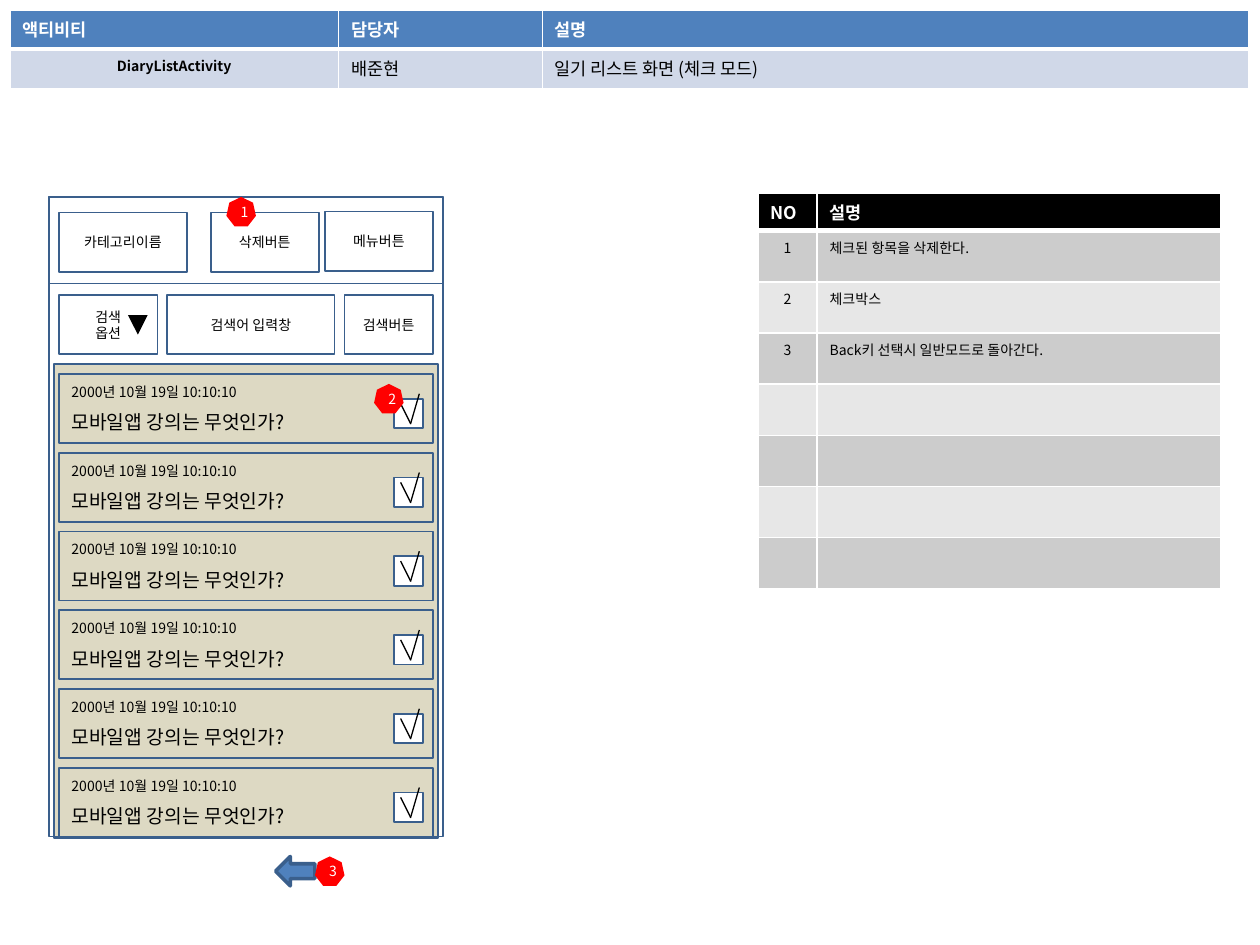
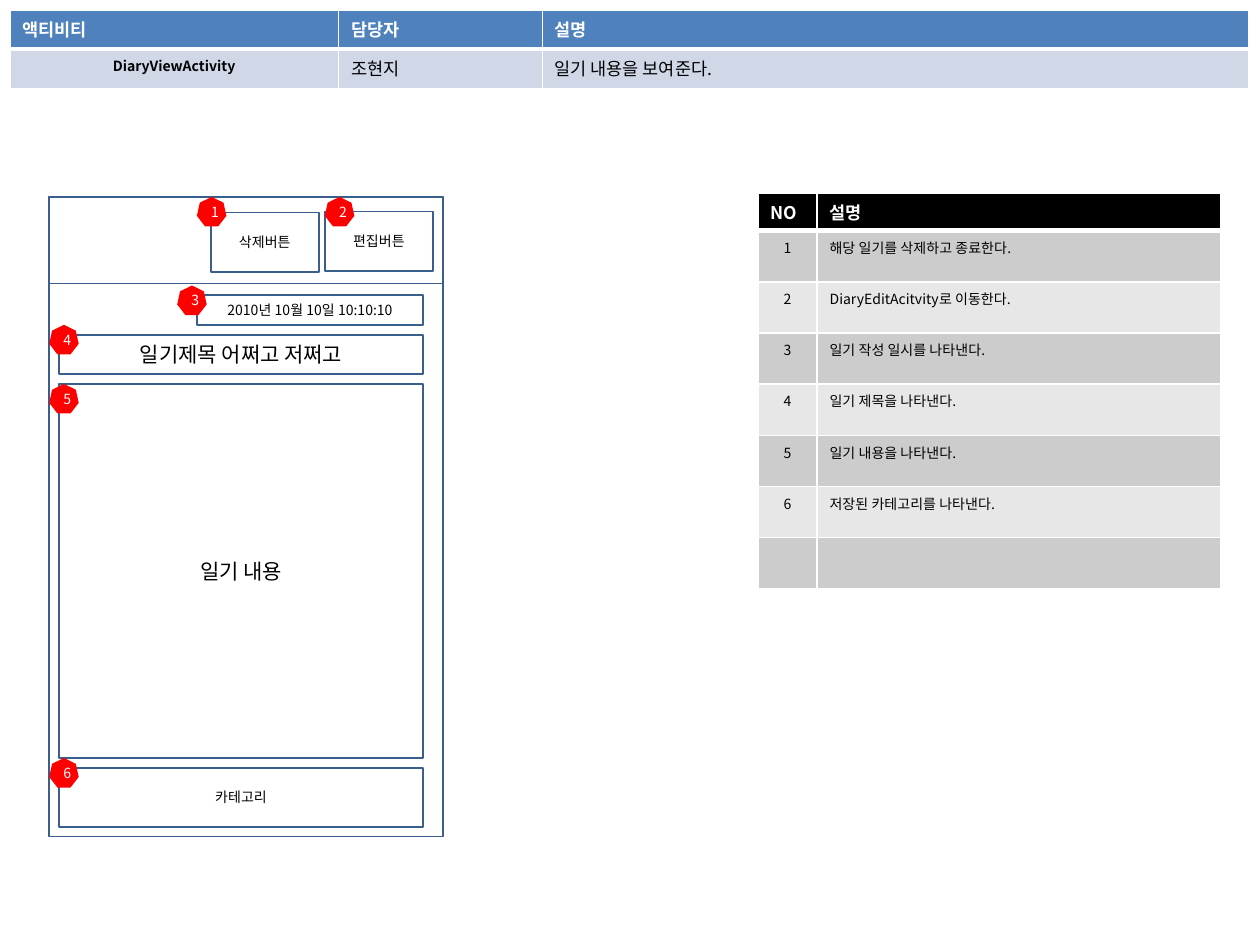
"""Builds two wireframe slides that describe the screens of a diary app."""
from typing import NamedTuple

from lxml import etree
from pptx import Presentation
from pptx import util as u
from pptx.dml.color import RGBColor
from pptx.enum import shapes, text
from pptx.oxml.ns import qn

PX_PER_INCH = 128
FONT = "Noto Sans CJK KR"
COLORS = {
    "white": "FFFFFF", "black": "000000", "outline": "3A5F8C", "blue": "4F81BD",
    "pale_blue": "D0D8E8", "sand": "DDD9C3", "red": "FF0000",
    "gray": "CCCCCC", "light_gray": "E7E7E7",
}
SHAPE = shapes.MSO_SHAPE
CENTER, LEFT = text.PP_ALIGN.CENTER, text.PP_ALIGN.LEFT


class Box(NamedTuple):
    x: int
    y: int
    w: int
    h: int
    label: str = ""
    size: int = 8


class Badge(NamedTuple):
    number: int
    x: int
    y: int


class Screen(NamedTuple):
    activity: str
    owner: str
    summary: str
    notes: list[str]
    boxes: list[Box]
    badges: list[Badge]


PHONE = [Box(50, 200, 400, 650), Box(50, 200, 400, 88)]
DELETE_BUTTON = Box(214, 216, 110, 60, "삭제버튼")
ITEM_LINES = [("2000년 10월 19일 10:10:10", 8), ("모바일앱 강의는 무엇인가?", 11)]
ITEM_COUNT, ITEM_PITCH = 6, 80
NOTE_ROWS = 7

LIST_SCREEN = Screen(
    "DiaryListActivity", "배준현", "일기 리스트 화면 (체크 모드)",
    ["체크된 항목을 삭제한다.", "체크박스", "Back키 선택시 일반모드로 돌아간다."],
    [
        Box(60, 216, 130, 60, "카테고리이름"),
        DELETE_BUTTON,
        Box(330, 215, 110, 60, "메뉴버튼"),
        Box(60, 300, 100, 60, "검색\n옵션"),
        Box(170, 300, 170, 60, "검색어 입력창"),
        Box(350, 300, 90, 60, "검색버튼"),
    ],
    [Badge(2, 380, 390), Badge(1, 230, 200), Badge(3, 320, 870)],
)
VIEW_SCREEN = Screen(
    "DiaryViewActivity", "조현지", "일기 내용을 보여준다.",
    ["해당 일기를 삭제하고 종료한다.", "DiaryEditAcitvity로 이동한다.",
     "일기 작성 일시를 나타낸다.", "일기 제목을 나타낸다.",
     "일기 내용을 나타낸다.", "저장된 카테고리를 나타낸다."],
    [
        DELETE_BUTTON,
        Box(330, 215, 110, 60, "편집버튼"),
        Box(200, 300, 230, 30, "2010년 10월 10일 10:10:10"),
        Box(60, 340, 370, 40, "일기제목 어쩌고 저쩌고", 12),
        Box(60, 390, 370, 380, "일기 내용", 12),
        Box(60, 780, 370, 60, "카테고리"),
    ],
    [Badge(1, 200, 200), Badge(2, 330, 200), Badge(3, 180, 290),
     Badge(4, 50, 330), Badge(5, 50, 390), Badge(6, 50, 770)],
)


def px(n: int) -> int:
    return u.Inches(n / PX_PER_INCH)


def rgb(color: str) -> RGBColor:
    return RGBColor.from_string(COLORS[color])


def style(p, size: int, color: str = "black", align=CENTER, bold: bool = False) -> None:
    p.alignment = align
    p.font.size = u.Pt(size)
    p.font.bold = bold
    p.font.color.rgb = rgb(color)
    p.font.name = FONT
    etree.SubElement(p._p.pPr.find(qn("a:defRPr")), qn("a:ea"), typeface=FONT)


def add_shape(parent, kind, box: Box, fill: str = "", line: str = "outline",
              width: int = 1, color: str = "black"):
    sp = parent.add_shape(kind, px(box.x), px(box.y), px(box.w), px(box.h))
    sp.shadow.inherit = False
    if fill:
        sp.fill.solid()
        sp.fill.fore_color.rgb = rgb(fill)
    else:
        sp.fill.background()
    if line:
        sp.line.color.rgb = rgb(line)
        sp.line.width = u.Pt(width)
    else:
        sp.line.fill.background()
    if box.label:
        tf = sp.text_frame
        tf.text = box.label
        tf.vertical_anchor = text.MSO_ANCHOR.MIDDLE
        for p in tf.paragraphs:
            style(p, box.size, color)
    return sp


def add_stroke(parent, x1: int, y1: int, x2: int, y2: int) -> None:
    cx = parent.add_connector(shapes.MSO_CONNECTOR.STRAIGHT, px(x1), px(y1), px(x2), px(y2))
    cx.line.color.rgb = rgb("black")
    cx.line.width = u.Pt(0.75)
    etree.SubElement(cx._element.spPr, qn("a:effectLst"))


def add_list_item(s, y: int) -> None:
    tf = add_shape(s.shapes, SHAPE.RECTANGLE, Box(60, y, 380, 70)).text_frame
    tf.text = "\n".join(line for line, _ in ITEM_LINES)
    tf.vertical_anchor = text.MSO_ANCHOR.MIDDLE
    for p, (_, size) in zip(tf.paragraphs, ITEM_LINES):
        style(p, size, align=LEFT)
    tf.paragraphs[1].space_before = u.Pt(6)


def add_checkbox(s, y: int) -> None:
    group = s.shapes.add_group_shape().shapes
    add_shape(group, SHAPE.FLOWCHART_PROCESS, Box(400, y, 30, 30), "white")
    add_stroke(group, 407, y + 5, 417, y + 25)
    add_stroke(group, 426, y - 5, 417, y + 26)


def add_badge(s, badge: Badge) -> None:
    box = Box(badge.x, badge.y, 30, 30, str(badge.number))
    add_shape(s.shapes, SHAPE.HEPTAGON, box, "red", "", color="white")


def add_borders(cell, top: int, bottom: int) -> None:
    tcPr = cell._tc.get_or_add_tcPr()
    for i, (side, width) in enumerate(zip("LRTB", (1, 1, top, bottom))):
        ln = etree.Element(qn(f"a:ln{side}"), w=str(u.Pt(width)))
        fill = etree.SubElement(ln, qn("a:solidFill"))
        etree.SubElement(fill, qn("a:srgbClr"), val=COLORS["white"])
        tcPr.insert(i, ln)


def fill_cell(cell, label: str, fill: str, size: int, color: str, align, bold: bool) -> None:
    cell.fill.solid()
    cell.fill.fore_color.rgb = rgb(fill)
    cell.text = label
    p = cell.text_frame.paragraphs[0]
    style(p, size, color, align, bold)
    if not label:
        etree.SubElement(p._p, qn("a:endParaRPr"), sz=str(size * 100))


def add_table(s, x: int, y: int, widths: list[int], heights: list[int],
              heads: list[str], head_fill: str):
    tbl = s.shapes.add_table(len(heights), len(widths), px(x), px(y),
                             px(sum(widths)), px(sum(heights))).table
    for col, w in zip(tbl.columns, widths):
        col.width = px(w)
    for row, h in zip(tbl.rows, heights):
        row.height = px(h)
    for c, head in enumerate(heads):
        fill_cell(tbl.cell(0, c), head, head_fill, 10, "white", LEFT, True)
        for r in range(len(heights)):
            add_borders(tbl.cell(r, c), 3 if r == 1 else 1, 3 if r == 0 else 1)
    return tbl


def add_header_table(s, screen: Screen) -> None:
    tbl = add_table(s, 10, 10, [334, 207, 718], [40, 40], ["액티비티", "담당자", "설명"], "blue")
    fill_cell(tbl.cell(1, 0), screen.activity, "pale_blue", 8, "black", CENTER, True)
    for c, label in enumerate((screen.owner, screen.summary), 1):
        fill_cell(tbl.cell(1, c), label, "pale_blue", 10, "black", LEFT, False)


def add_notes_table(s, notes: list[str]) -> None:
    tbl = add_table(s, 770, 196, [60, 410], [35] + [52] * NOTE_ROWS, ["NO", "설명"], "black")
    for r in range(1, NOTE_ROWS + 1):
        number, note = (str(r), notes[r - 1]) if r <= len(notes) else ("", "")
        fill = "gray" if r % 2 else "light_gray"
        fill_cell(tbl.cell(r, 0), number, fill, 8, "black", CENTER, False)
        fill_cell(tbl.cell(r, 1), note, fill, 8, "black", LEFT, False)


def add_screen(s, screen: Screen) -> None:
    add_header_table(s, screen)
    for box in PHONE + screen.boxes:
        add_shape(s.shapes, SHAPE.RECTANGLE, box)
    add_notes_table(s, screen.notes)


def build_list_slide(s) -> None:
    add_shape(s.shapes, SHAPE.RECTANGLE, Box(55, 370, 390, 481), "sand")
    add_screen(s, LIST_SCREEN)
    arrow = add_shape(s.shapes, SHAPE.ISOSCELES_TRIANGLE, Box(130, 320, 20, 20), "black", "")
    arrow.rotation = 180
    for i in range(ITEM_COUNT):
        y = 380 + i * ITEM_PITCH
        add_list_item(s, y)
        add_checkbox(s, y + 25)
    add_shape(s.shapes, SHAPE.LEFT_ARROW, Box(280, 870, 40, 30), "blue", width=2)
    for badge in LIST_SCREEN.badges:
        add_badge(s, badge)


def build_view_slide(s) -> None:
    add_screen(s, VIEW_SCREEN)
    for badge in VIEW_SCREEN.badges:
        add_badge(s, badge)


def main() -> None:
    prs = Presentation()
    prs.slide_width, prs.slide_height = px(1280), px(960)
    for build in (build_list_slide, build_view_slide):
        build(prs.slides.add_slide(prs.slide_layouts[6]))
    prs.save("out.pptx")


if __name__ == "__main__":
    main()
